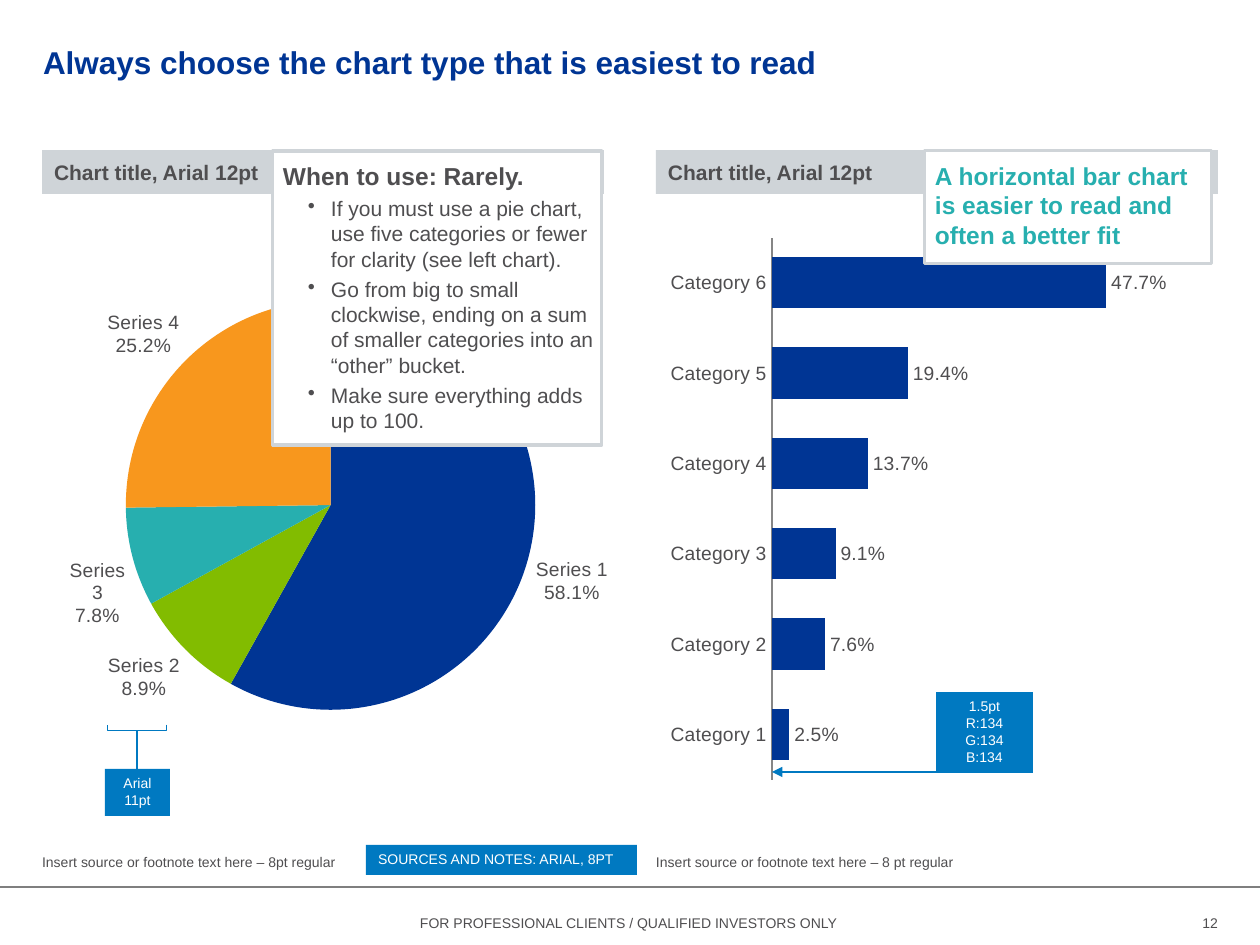
from lxml.etree import SubElement
from pptx import Presentation
from pptx.chart.data import CategoryChartData
from pptx.dml.color import RGBColor
from pptx.enum.chart import XL_CHART_TYPE, XL_LABEL_POSITION, XL_TICK_LABEL_POSITION, XL_TICK_MARK
from pptx.enum.shapes import MSO_CONNECTOR, MSO_SHAPE
from pptx.enum.text import MSO_ANCHOR, PP_ALIGN
from pptx.oxml import parse_xml
from pptx.oxml.ns import nsdecls, qn
from pptx.util import Emu, Pt

NAVY = RGBColor(0x00, 0x35, 0x94)
GREEN = RGBColor(0x82, 0xBC, 0x00)
TEAL = RGBColor(0x27, 0xAF, 0xAF)
ORANGE = RGBColor(0xF8, 0x97, 0x1D)
BLUE = RGBColor(0x00, 0x79, 0xC1)
TEXT = RGBColor(0x4F, 0x4E, 0x50)
SILVER = RGBColor(0xCF, 0xD4, 0xD8)
AXIS = RGBColor(0x86, 0x86, 0x86)
RULE = RGBColor(0x7F, 0x7F, 0x7F)
WHITE = RGBColor(0xFF, 0xFF, 0xFF)
FONT = "Arial"
PANEL_W = 562


def px(n):
    return Emu(round(n * 914400 / 126))


def style(font, size, color, bold=False):
    font.name, font.size, font.bold = FONT, Pt(size), bold
    font.color.rgb = color


def write(shape, lines, size, color, bold=False, align=PP_ALIGN.LEFT,
          anchor=MSO_ANCHOR.TOP, insets=(0, 0, 0, 0), before=0):
    frame = shape.text_frame
    frame.word_wrap = True
    frame.vertical_anchor = anchor
    (frame.margin_left, frame.margin_top,
     frame.margin_right, frame.margin_bottom) = map(px, insets)
    frame.text = "\n".join(lines)
    for paragraph in frame.paragraphs:
        paragraph.alignment = align
        paragraph.space_before = Pt(before)
        for run in paragraph.runs:
            style(run.font, size, color, bold)
    return frame


def add_text(slide, box, text, size, color, **options):
    label = slide.shapes.add_textbox(*map(px, box))
    return write(label, [text], size, color, **options)


def add_box(slide, box, fill, border=None):
    rect = slide.shapes.add_shape(MSO_SHAPE.RECTANGLE, *map(px, box))
    rect.shadow.inherit = False
    rect.fill.solid()
    rect.fill.fore_color.rgb = fill
    if border is None:
        rect.line.fill.background()
    else:
        rect.line.color.rgb = border
        rect.line.width = Pt(1.75)
    return rect


def add_line(slide, x1, y1, x2, y2, color, arrow_at_start=False):
    line = slide.shapes.add_connector(MSO_CONNECTOR.STRAIGHT, *map(px, (x1, y1, x2, y2)))
    line.line.color.rgb = color
    line.line.width = Pt(0.75)
    if arrow_at_start:
        SubElement(line.line._get_or_add_ln(), qn("a:headEnd"), type="triangle")
    SubElement(line._element.spPr, qn("a:effectLst"))


def add_tag(slide, box, lines, align=PP_ALIGN.CENTER):
    """Blue box with a small formatting hint."""
    write(add_box(slide, box, BLUE), lines, 8, WHITE, align=align, insets=(12, 6, 12, 6))


def add_callout(slide, box, heading, color, bullets=()):
    frame = write(add_box(slide, box, WHITE, SILVER), [heading, *bullets], 14, color,
                  bold=True, insets=(10, 10, 5, 5), before=3)
    for paragraph in frame.paragraphs[1:]:
        style(paragraph.runs[0].font, 12, color)
        paragraph.level = 1
        properties = paragraph._p.get_or_add_pPr()
        properties.set("marL", str(px(48)))
        properties.set("indent", str(px(-23)))
        SubElement(properties, qn("a:buChar"), char="•")


def add_panel(slide, x, footnote):
    """Chart heading band and the footnote under the chart."""
    write(add_box(slide, (x, 150, PANEL_W, 44), SILVER), ["Chart title, Arial 12pt"], 12, TEXT,
          bold=True, anchor=MSO_ANCHOR.MIDDLE, insets=(12, 5, 12, 5))
    add_text(slide, (x, 855, PANEL_W, 15), footnote, 8, TEXT, anchor=MSO_ANCHOR.BOTTOM)


def add_percent_chart(slide, kind, box, names, values, plot_area):
    data = CategoryChartData(number_format="0.0%")
    data.categories = names
    data.add_series("Series 1", values)
    chart = slide.shapes.add_chart(kind, *map(px, box), data).chart
    chart.has_legend = chart.has_title = False
    style(chart.font, 11, TEXT)
    plot = chart.plots[0]
    plot.has_data_labels = True
    labels = plot.data_labels
    style(labels.font, 11, TEXT)
    labels.number_format, labels.number_format_is_linked = "0.0%", False
    labels.show_value = True
    labels.position = XL_LABEL_POSITION.OUTSIDE_END
    area = chart._chartSpace.chart.plotArea
    for old in area.findall(qn("c:layout")):
        area.remove(old)
    sizes = "".join(f'<c:{tag} val="{value}"/>' for tag, value in zip("xywh", plot_area))
    area.insert(0, parse_xml(
        f'<c:layout {nsdecls("c")}><c:manualLayout><c:layoutTarget val="inner"/>'
        f'<c:xMode val="edge"/><c:yMode val="edge"/>{sizes}</c:manualLayout></c:layout>'))
    return chart


def add_pie(slide, box):
    chart = add_percent_chart(slide, XL_CHART_TYPE.PIE, box, [f"Series {n}" for n in range(1, 5)],
                              (0.581, 0.089, 0.078, 0.252), (0.14, 0.13, 0.7, 0.69))
    plot = chart.plots[0]
    plot.data_labels.show_category_name = True
    separator = parse_xml(f'<c:separator {nsdecls("c")}>\n</c:separator>')
    plot.data_labels._element.find(qn("c:showBubbleSize")).addnext(separator)
    for index, color in enumerate((NAVY, GREEN, TEAL, ORANGE)):
        fill = plot.series[0].points[index].format.fill
        fill.solid()
        fill.fore_color.rgb = color


def add_bars(slide, box):
    chart = add_percent_chart(slide, XL_CHART_TYPE.BAR_CLUSTERED, box,
                              [f"Category {n}" for n in range(1, 7)],
                              (0.025, 0.076, 0.091, 0.137, 0.194, 0.477),
                              (0.21, 0.04, 0.75, 0.88))
    plot = chart.plots[0]
    plot.gap_width = 76
    plot.vary_by_categories = False
    fill = plot.series[0].format.fill
    fill.solid()
    fill.fore_color.rgb = NAVY
    values, categories = chart.value_axis, chart.category_axis
    values.minimum_scale, values.maximum_scale = 0, 0.6
    values.has_major_gridlines = False
    values.tick_label_position = XL_TICK_LABEL_POSITION.NONE
    values.visible = False
    categories.major_tick_mark = XL_TICK_MARK.NONE
    categories.format.line.color.rgb = AXIS
    categories.format.line.width = Pt(1.5)
    style(categories.tick_labels.font, 11, TEXT)


def add_pie_panel(slide, x):
    add_panel(slide, x, "Insert source or footnote text here – 8pt regular")
    # Reaches into the gutter so that the right-hand label fits on its lines
    add_pie(slide, (x + 2, 213, 585, 615))
    add_tag(slide, (x + 324, 845, 271, 30), ["SOURCES AND NOTES: ARIAL, 8PT"], PP_ALIGN.LEFT)
    add_line(slide, x + 95, 731, x + 95, 769, BLUE)
    add_tag(slide, (x + 63, 769, 65, 47), ["Arial", "11pt"])
    bracket = slide.shapes.add_shape(MSO_SHAPE.RIGHT_BRACKET, *map(px, (x + 92, 698, 6, 59)))
    bracket.adjustments[0] = 0
    bracket.rotation = 90
    bracket.shadow.inherit = False
    bracket.fill.background()
    bracket.line.color.rgb = BLUE
    bracket.line.width = Pt(0.75)
    add_callout(slide, (x + 231, 151, 329, 294), "When to use: Rarely.", TEXT, (
        "If you must use a pie chart, use five categories or fewer for clarity (see left chart).",
        "Go from big to small clockwise, ending on a sum of smaller categories into an “other” bucket.",
        "Make sure everything adds up to 100."))


def add_bar_panel(slide, x):
    add_panel(slide, x, "Insert source or footnote text here – 8 pt regular")
    add_bars(slide, (x - 2, 213, 561, 616))
    add_tag(slide, (x + 280, 692, 97, 81), ["1.5pt", "R:134 G:134 B:134"])
    add_line(slide, x + 116, 772, x + 377, 772, BLUE, arrow_at_start=True)
    add_callout(slide, (x + 269, 151, 287, 113),
                "A horizontal bar chart is easier to read and often a better fit", TEAL)


def add_footer(slide):
    add_line(slide, 0, 887, 1260, 887, RULE)
    add_text(slide, (206, 908, 846, 30), "FOR PROFESSIONAL CLIENTS / QUALIFIED INVESTORS ONLY",
             8, TEXT, align=PP_ALIGN.CENTER, anchor=MSO_ANCHOR.MIDDLE)
    add_text(slide, (1167, 908, 51, 30), "12", 8, TEXT,
             align=PP_ALIGN.RIGHT, anchor=MSO_ANCHOR.MIDDLE)


def main():
    deck = Presentation()
    deck.slide_width, deck.slide_height = px(1260), px(945)
    slide = deck.slides.add_slide(deck.slide_layouts[5])
    title = slide.shapes.title
    title.left, title.top, title.width, title.height = map(px, (43, 20, 1171, 84))
    write(title, ["Always choose the chart type that is easiest to read"], 18, NAVY,
          bold=True, anchor=MSO_ANCHOR.MIDDLE)
    add_footer(slide)
    add_pie_panel(slide, 42)
    add_bar_panel(slide, 656)
    deck.save("out.pptx")


if __name__ == "__main__":
    main()
